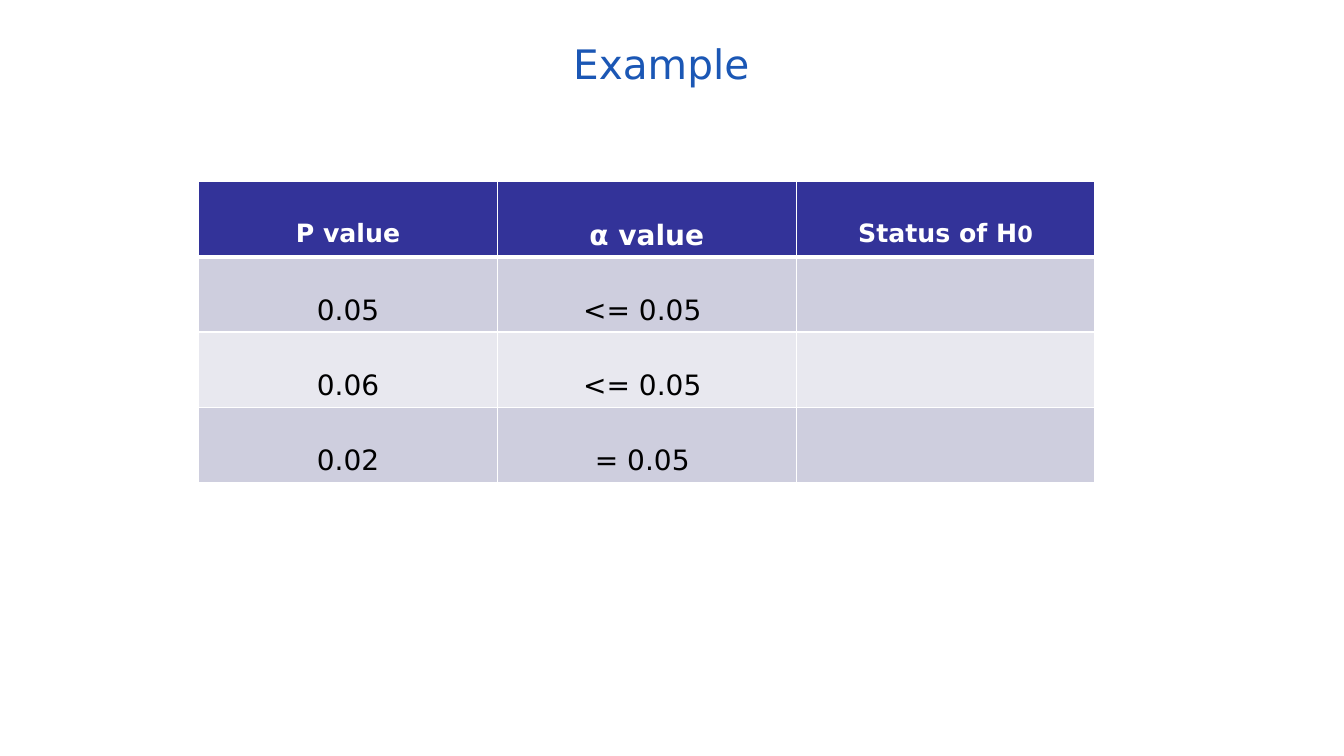
from lxml import etree
from pptx import Presentation
from pptx.dml.color import RGBColor
from pptx.enum.text import MSO_ANCHOR, MSO_AUTO_SIZE, PP_ALIGN
from pptx.oxml.ns import qn
from pptx.util import Inches, Pt

CENTER = PP_ALIGN.CENTER
MIDDLE = MSO_ANCHOR.MIDDLE
NO_AUTOFIT = MSO_AUTO_SIZE.NONE
BLUE = RGBColor(0x1B, 0x57, 0xB5)
INDIGO = RGBColor(0x33, 0x33, 0x99)
BAND_DARK = RGBColor(0xCE, 0xCE, 0xDE)
BAND_LIGHT = RGBColor(0xE8, 0xE8, 0xEF)
WHITE = RGBColor(0xFF, 0xFF, 0xFF)
BLACK = RGBColor(0x00, 0x00, 0x00)

HEADER = [
    [("P value", 18)],
    [("α value", 20)],
    [("Status of H", 18), ("0", 16)],
]
VALUES = [("0.05", "<= 0.05 "), ("0.06", "<= 0.05 "), ("0.02", "= 0.05 ")]


class SlideBuilder:
    """Holds the slide and its font, and adds styled elements."""

    def __init__(self, prs, font):
        self.s = prs.slides.add_slide(prs.slide_layouts[5])
        self.font = font

    def add_run(self, p, text, size, color, bold=False):
        r = p.add_run()
        r.text = text
        r.font.name = self.font
        r.font.size = Pt(size)
        r.font.bold = bold
        r.font.color.rgb = color

    def title(self, text, left, top, width, height):
        sp = self.s.shapes.title
        sp.left, sp.top = Inches(left), Inches(top)
        sp.width, sp.height = Inches(width), Inches(height)
        tf = sp.text_frame
        tf.auto_size = NO_AUTOFIT
        tf.vertical_anchor = MIDDLE
        tf.margin_left = tf.margin_right = Inches(0.11)
        tf.margin_top = tf.margin_bottom = Inches(0.06)
        p = tf.paragraphs[0]
        p.alignment = CENTER
        self.add_run(p, text, 29, BLUE)

    def borders(self, cell, widths):
        tcPr = cell._tc.get_or_add_tcPr()
        for side, width in zip("LRTB", widths):
            ln = etree.SubElement(tcPr, qn(f"a:ln{side}"), w=str(Pt(width)))
            fill = etree.SubElement(ln, qn("a:solidFill"))
            etree.SubElement(fill, qn("a:srgbClr"), val=str(WHITE))

    def cell(self, cell, runs, fill, color, bold, widths):
        self.borders(cell, widths)
        cell.fill.solid()
        cell.fill.fore_color.rgb = fill
        cell.vertical_anchor = MIDDLE
        p = cell.text_frame.paragraphs[0]
        p.alignment = CENTER
        p.line_spacing = 2.0
        for text, size in runs:
            self.add_run(p, text, size, color, bold)

    def table(self, header, values, left, top, width, row_height):
        rows, cols = len(values) + 1, len(header)
        tbl = self.s.shapes.add_table(
            rows, cols, Inches(left), Inches(top),
            Inches(width), Inches(row_height * rows)).table
        for c, runs in enumerate(header):
            self.cell(tbl.cell(0, c), runs, INDIGO, WHITE, True, (1, 1, 1, 3))
        for i, row in enumerate(values, 1):
            fill = BAND_DARK if i % 2 else BAND_LIGHT
            widths = (1, 1, 3 if i == 1 else 1, 1)
            for c in range(cols):
                runs = [(row[c], 20)] if c < len(row) else []
                self.cell(tbl.cell(i, c), runs, fill, BLACK, False, widths)


def main():
    prs = Presentation()
    prs.slide_width, prs.slide_height = Inches(13.33), Inches(7.5)
    builder = SlideBuilder(prs, "DejaVu Sans")
    builder.title("Example", 0.56, 0.25, 12, 0.75)
    builder.table(HEADER, VALUES, 1.97, 1.8, 8.89, 0.74)
    prs.save("out.pptx")


if __name__ == "__main__":
    main()
